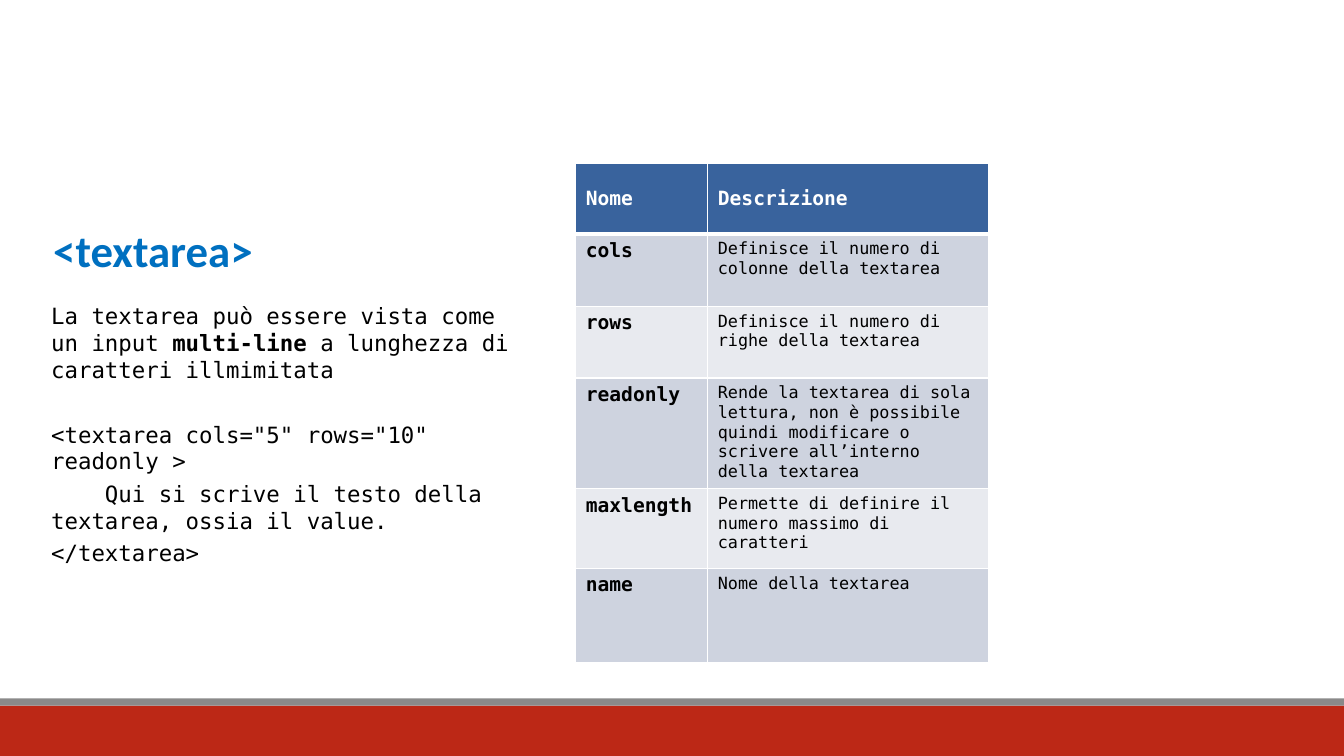
"""Build a slide on the HTML textarea element and its attributes."""
from dataclasses import dataclass

from lxml import etree
from pptx import Presentation
from pptx import util as u
from pptx.dml.color import RGBColor
from pptx.enum import shapes, text
from pptx.oxml import ns


@dataclass(frozen=True)
class Theme:
    heading_font: str = "Calibri"
    mono_font: str = "DejaVu Sans Mono"
    heading: str = "0070C0"
    ink: str = "000000"
    white: str = "FFFFFF"
    header: str = "39639D"
    bands: tuple[str, str] = ("CED3DF", "E8EAEF")
    red: str = "BC2816"
    grey: str = "8A8989"
    heading_size: int = 32
    body_size: int = 16
    name_size: int = 14
    description_size: int = 12


@dataclass(frozen=True)
class Box:
    left: float
    top: float
    width: float
    height: float

    def lengths(self) -> list[u.Length]:
        return [u.Inches(side) for side in (self.left, self.top, self.width, self.height)]


@dataclass(frozen=True)
class Bar:
    box: Box
    color: str


@dataclass(frozen=True)
class Style:
    size: int
    color: str
    bold: bool = False
    font: str = Theme.mono_font


@dataclass(frozen=True)
class Line:
    runs: tuple[tuple[str, bool], ...]
    space_before: float = 4


@dataclass(frozen=True)
class Attribute:
    name: str
    description: str
    height: float


THEME = Theme()
WIDTH, HEIGHT = 13.33, 7.5
FOOTER = (
    Bar(Box(0, 7, WIDTH, 0.5), THEME.red),
    Bar(Box(0, 6.93, WIDTH, 0.07), THEME.grey),
)
HEADING = (Line((("<textarea>", True),), 0),)
EXPLANATION = (
    Line((
        ("La textarea può essere vista come un input ", False),
        ("multi-line ", True),
        ("a lunghezza di caratteri illmimitata", False),
    ), 0),
    Line((('<textarea cols="5" rows="10" readonly >', False),), 27),
    Line((("    Qui si scrive il testo della textarea, ossia il value.", False),)),
    Line((("</textarea>", False),)),
)
ATTRIBUTES = (
    Attribute("Nome", "Descrizione", 0.7),
    Attribute("cols", "Definisce il numero di colonne della textarea", 0.72),
    Attribute("rows", "Definisce il numero di righe della textarea", 0.71),
    Attribute("readonly", "Rende la textarea di sola lettura, non è possibile quindi "
              "modificare o scrivere all’interno della textarea", 1.02),
    Attribute("maxlength", "Permette di definire il numero massimo di caratteri", 0.79),
    Attribute("name", "Nome della textarea", 0.93),
)
COLUMNS = (1.31, 2.79)


def apply(target, values: dict) -> None:
    """Set each named attribute on the target."""
    for key, value in values.items():
        setattr(target, key, value)


def add_run(paragraph, words: str, style: Style) -> None:
    """Append styled words to a paragraph."""
    run = paragraph.add_run()
    run.text = words
    apply(run.font, {"name": style.font, "size": u.Pt(style.size), "bold": style.bold})
    run.font.color.rgb = RGBColor.from_string(style.color)


def paint(target, color: str) -> None:
    """Fill a shape or cell with one colour."""
    target.fill.solid()
    target.fill.fore_color.rgb = RGBColor.from_string(color)


def add_bar(slide, bar: Bar) -> None:
    """Draw one footer bar."""
    band = slide.shapes.add_shape(shapes.MSO_SHAPE.RECTANGLE, *bar.box.lengths())
    band.shadow.inherit = False
    band.line.fill.background()
    paint(band, bar.color)


def add_lines(slide, box: Box, lines: tuple[Line, ...], style: Style, anchor) -> None:
    """Write paragraphs into a text box."""
    frame = slide.shapes.add_textbox(*box.lengths()).text_frame
    apply(frame, {"word_wrap": True, "vertical_anchor": anchor})
    for index, line in enumerate(lines):
        paragraph = frame.add_paragraph() if index else frame.paragraphs[0]
        paragraph.space_before = u.Pt(line.space_before)
        for words, bold in line.runs:
            add_run(paragraph, words, Style(style.size, style.color, bold, style.font))


def add_borders(cell, widths: dict[str, int]) -> None:
    """Give a cell white borders ahead of its fill."""
    properties = cell._tc.get_or_add_tcPr()
    for index, (side, width) in enumerate(widths.items()):
        border = etree.Element(ns.qn(f"a:ln{side}"), w=str(u.Pt(width)))
        fill = etree.SubElement(border, ns.qn("a:solidFill"))
        etree.SubElement(fill, ns.qn("a:srgbClr"), val=THEME.white)
        properties.insert(index, border)


def add_attributes(slide, box: Box) -> None:
    """Draw the table of textarea attributes."""
    table = slide.shapes.add_table(len(ATTRIBUTES), len(COLUMNS), *box.lengths()).table
    for column, width in zip(table.columns, COLUMNS):
        column.width = u.Inches(width)
    for index, attribute in enumerate(ATTRIBUTES):
        table.rows[index].height = u.Inches(attribute.height)
        is_header = index == 0
        color = THEME.white if is_header else THEME.ink
        name_style = Style(THEME.name_size, color, True)
        description_style = name_style if is_header else Style(THEME.description_size, color)
        entries = ((attribute.name, name_style), (attribute.description, description_style))
        for cell, (words, style) in zip(table.rows[index].cells, entries):
            add_run(cell.text_frame.paragraphs[0], words, style)
            anchor = text.MSO_ANCHOR.MIDDLE if is_header else text.MSO_ANCHOR.TOP
            apply(cell, {"vertical_anchor": anchor})
            paint(cell, THEME.header if is_header else THEME.bands[(index - 1) % 2])
            add_borders(cell, {"L": 1, "R": 1, "T": 3 if index == 1 else 1,
                               "B": 3 if is_header else 1})


def main() -> None:
    """Build and save the slide."""
    deck = Presentation()
    apply(deck, {"slide_width": u.Inches(WIDTH), "slide_height": u.Inches(HEIGHT)})
    slide = deck.slides.add_slide(deck.slide_layouts[6])
    for bar in FOOTER:
        add_bar(slide, bar)
    add_lines(slide, Box(0.41, 2.95, 4.97, 3.46), EXPLANATION,
              Style(THEME.body_size, THEME.ink), text.MSO_ANCHOR.TOP)
    add_lines(slide, Box(0.43, 1.55, 4.96, 1.24), HEADING,
              Style(THEME.heading_size, THEME.heading, font=THEME.heading_font),
              text.MSO_ANCHOR.BOTTOM)
    add_attributes(slide, Box(5.71, 1.62, 4.1, 4.87))
    deck.save("out.pptx")


if __name__ == "__main__":
    main()
